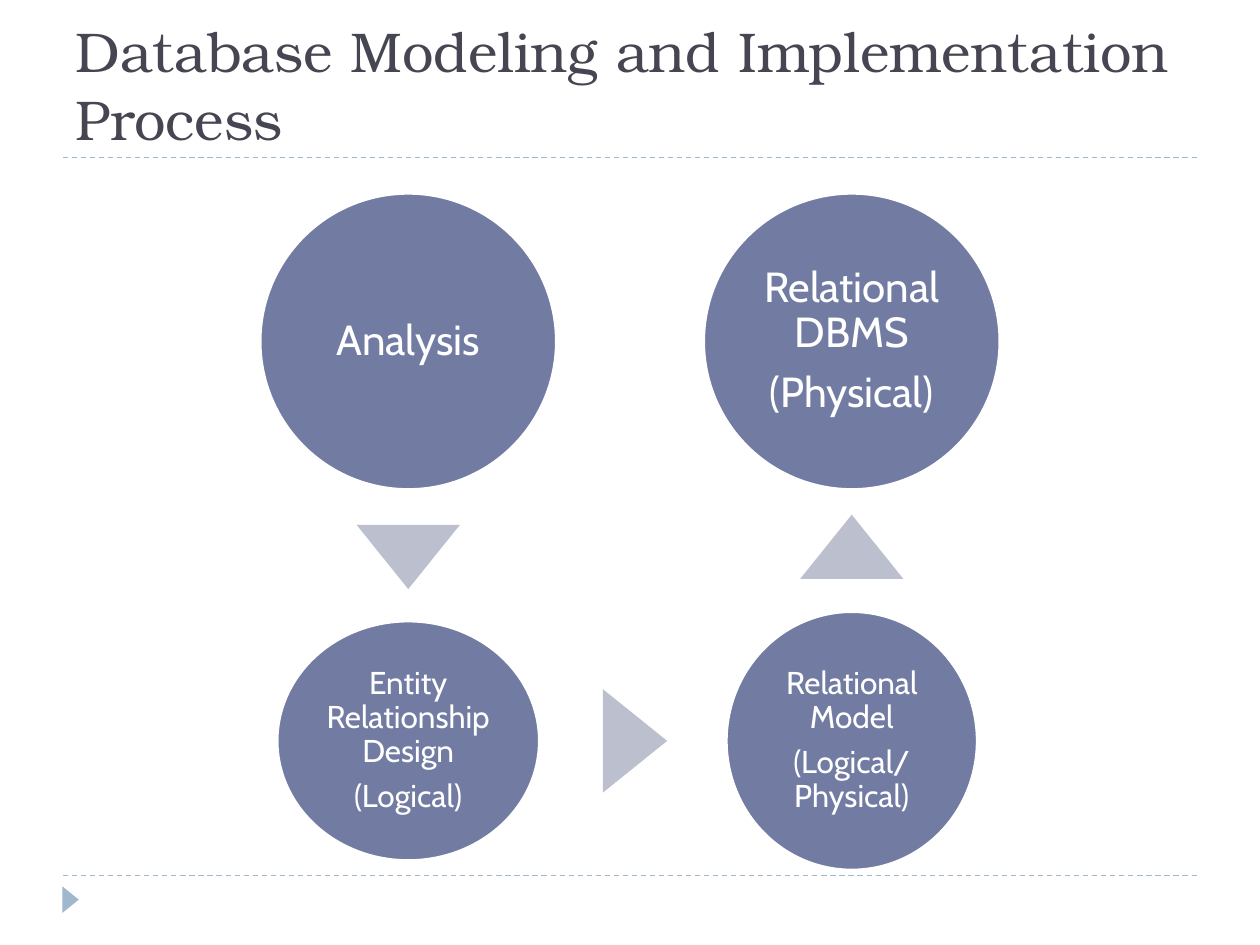
from collections import namedtuple
from dataclasses import dataclass

from lxml.etree import SubElement
from pptx import Presentation
from pptx.dml.color import RGBColor as Color
from pptx.enum.dml import MSO_LINE_DASH_STYLE as Dash
from pptx.enum.shapes import MSO_CONNECTOR as Connector, MSO_SHAPE as Shape
from pptx.enum.text import MSO_ANCHOR as Anchor, PP_ALIGN as Align
from pptx.oxml.ns import qn
from pptx.util import Pt

SCALE = 9144
Box = namedtuple("Box", "left top width height")


@dataclass(frozen=True)
class Theme:
    title_color: str = "464653"
    circle_color: str = "727CA3"
    arrow_color: str = "BCBFCE"
    accent_color: str = "9FB8CD"
    light_color: str = "FFFFFF"
    title_font: str = "TeX Gyre Bonum"
    body_font: str = "Cabin"
    title_size: int = 32
    large_size: int = 24
    small_size: int = 18


THEME = Theme()
PAGE = Box(0, 0, 1000, 750)
TITLE = Box(50, 25, 900, 100)
FLOW = Box(206, 153, 588, 537)
FOOTER = Box(50, 695, 900, 35)

STAGES = [
    (118, 118, 235, 235, THEME.large_size, ["Analysis"]),
    (118, 435, 208, 190, THEME.small_size, ["Entity Relationship Design", "(Logical)"]),
    (470, 435, 199, 205, THEME.small_size, ["Relational Model", "(Logical/ Physical)"]),
    (470, 118, 235, 235, THEME.large_size, ["Relational DBMS", "(Physical)"]),
]
ARROWS = [(118, 289, 180), (298, 435, 90), (470, 281, 0)]


def px(length):
    return round(length * SCALE)


def emu(box):
    return [px(length) for length in box]


def centered(box, x, y, width, height):
    return Box(box.left + x - width / 2, box.top + y - height / 2, width, height)


def set_format(target, values):
    for name, value in values.items():
        setattr(target, name, value)


def add_text(frame, lines, font, size, color, frame_format, para_format):
    set_format(frame, {"word_wrap": True, **frame_format})
    for index, line in enumerate(lines):
        para = frame.add_paragraph() if index else frame.paragraphs[0]
        set_format(para, para_format)
        span = para.add_run()
        span.text = line
        set_format(span.font, {"name": font, "size": Pt(size)})
        span.font.color.rgb = Color.from_string(color)


def add_solid(page, kind, box, color):
    shape = page.shapes.add_shape(kind, *emu(box))
    shape.shadow.inherit = False
    shape.fill.solid()
    shape.fill.fore_color.rgb = Color.from_string(color)
    shape.line.fill.background()
    return shape


def add_triangle(page, box, color, rotation):
    add_solid(page, Shape.ISOSCELES_TRIANGLE, box, color).rotation = rotation


def add_rule(page, left, top, width):
    rule = page.shapes.add_connector(
        Connector.STRAIGHT, px(left), px(top), px(left + width), px(top)
    )
    rule.line.color.rgb = Color.from_string(THEME.accent_color)
    set_format(rule.line, {"width": Pt(0.75), "dash_style": Dash.DASH})
    SubElement(rule._element.spPr, qn("a:effectLst"))


def add_title(page, box):
    add_rule(page, box.left, box.top + box.height, box.width)
    title = page.shapes.add_textbox(*emu(box))
    add_text(
        title.text_frame,
        ["Database Modeling and Implementation Process"],
        THEME.title_font,
        THEME.title_size,
        THEME.title_color,
        {"vertical_anchor": Anchor.BOTTOM},
        {"alignment": Align.LEFT},
    )


def add_stage(page, box, size, lines):
    circle = add_solid(page, Shape.OVAL, box, THEME.circle_color)
    circle.line.color.rgb = Color.from_string(THEME.light_color)
    circle.line.width = Pt(1.5)
    margins = ("margin_left", "margin_top", "margin_right", "margin_bottom")
    add_text(
        circle.text_frame,
        lines,
        THEME.body_font,
        size,
        THEME.light_color,
        {"vertical_anchor": Anchor.MIDDLE, **dict.fromkeys(margins, px(3))},
        {
            "alignment": Align.CENTER,
            "line_spacing": 0.9,
            "space_after": Pt(size * 0.35),
        },
    )


def add_flow(page, box):
    for x, y, width, height, size, lines in STAGES:
        add_stage(page, centered(box, x, y, width, height), size, lines)
    for x, y, rotation in ARROWS:
        add_triangle(page, centered(box, x, y, 82, 51), THEME.arrow_color, rotation)


def add_footer(page, box):
    add_rule(page, box.left, box.top, box.width)
    add_triangle(page, centered(box, 6, 19, 21, 13), THEME.accent_color, 90)


def main():
    deck = Presentation()
    set_format(deck, {"slide_width": px(PAGE.width), "slide_height": px(PAGE.height)})
    page = deck.slides.add_slide(deck.slide_layouts[6])
    add_footer(page, FOOTER)
    add_title(page, TITLE)
    add_flow(page, FLOW)
    deck.save("out.pptx")


if __name__ == "__main__":
    main()
